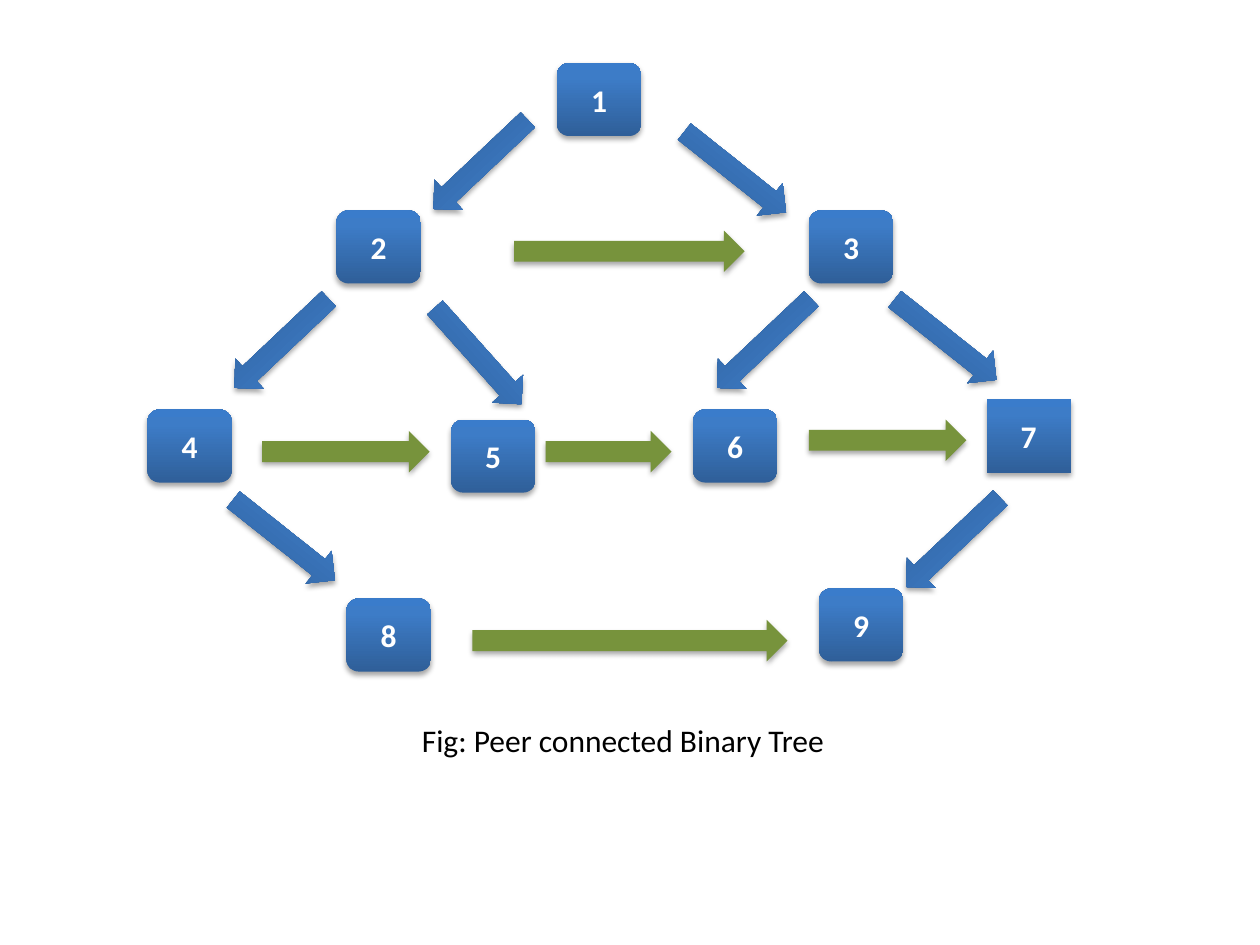
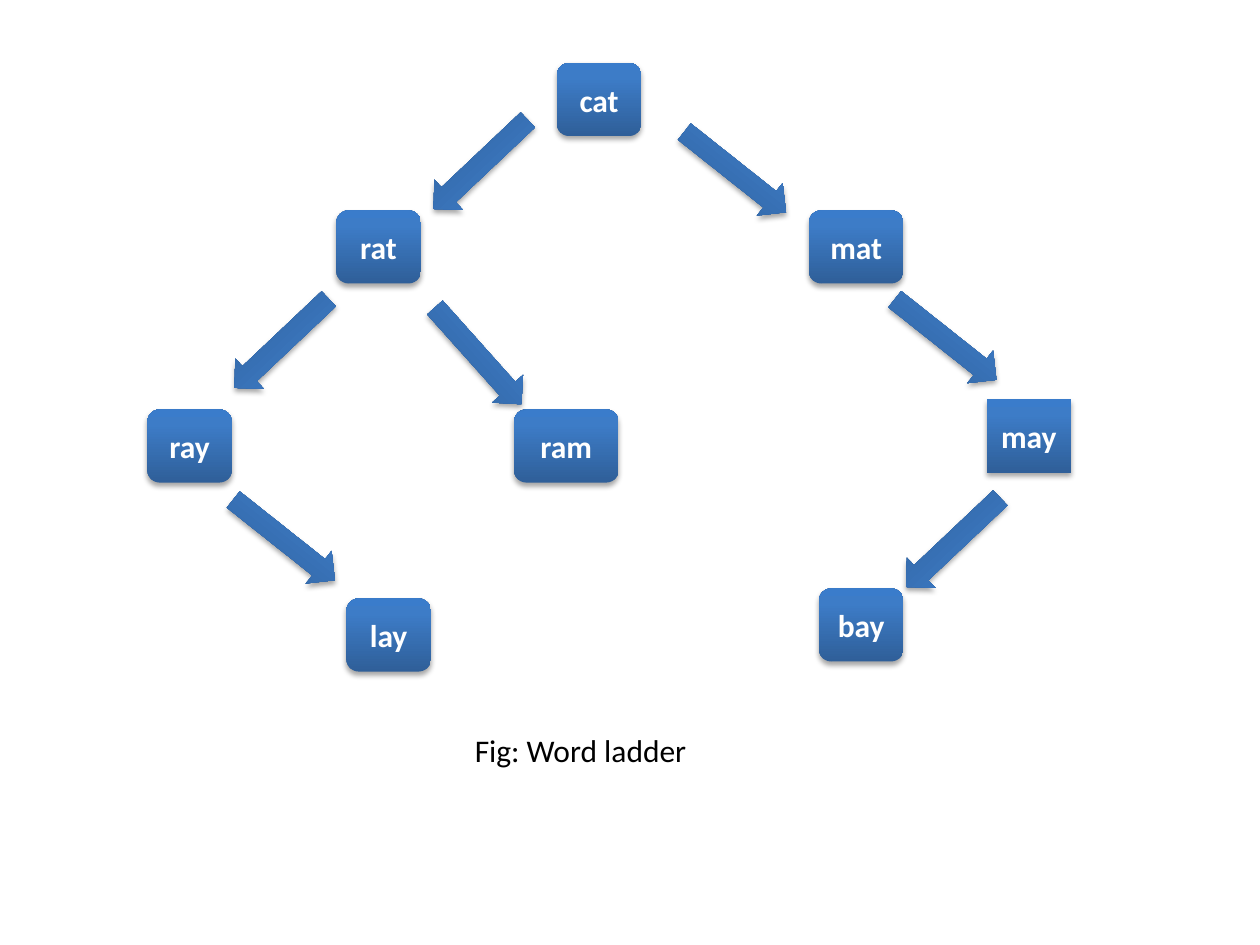
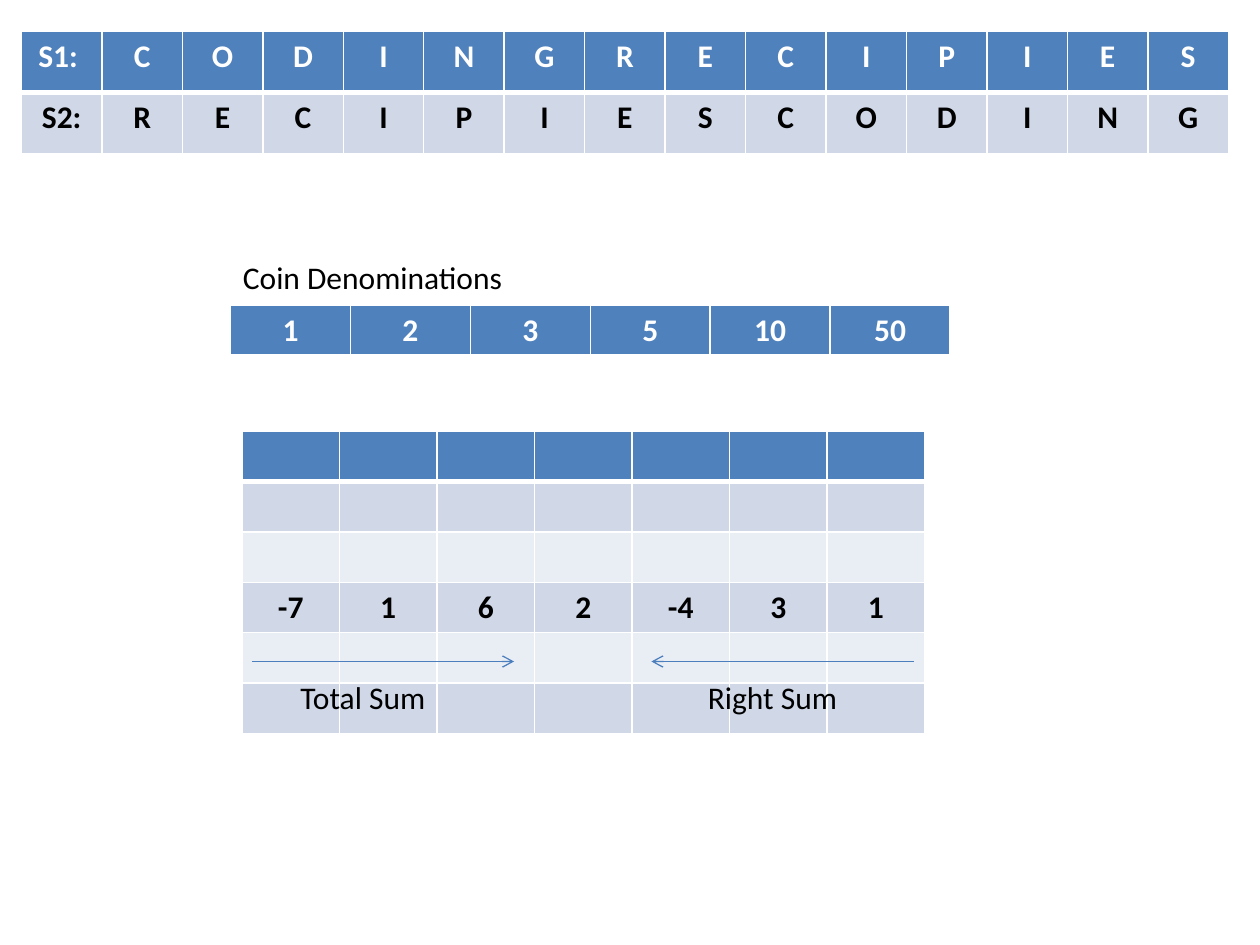
from lxml import etree
from pptx import Presentation
from pptx.dml.color import RGBColor
from pptx.enum.shapes import MSO_CONNECTOR, MSO_SHAPE
from pptx.enum.text import MSO_ANCHOR, MSO_AUTO_SIZE, PP_ALIGN
from pptx.oxml.ns import qn
from pptx.util import Inches, Pt

STRAIGHT = MSO_CONNECTOR.STRAIGHT
ROUNDED = MSO_SHAPE.ROUNDED_RECTANGLE
RIGHT_ARROW = MSO_SHAPE.RIGHT_ARROW
MIDDLE = MSO_ANCHOR.MIDDLE
GROW = MSO_AUTO_SIZE.SHAPE_TO_FIT_TEXT
LEFT, CENTER = PP_ALIGN.LEFT, PP_ALIGN.CENTER

COLORS = {
    "white": "FFFFFF",
    "black": "000000",
    "green": "77933C",
    "header": "4F81BD",
    "band_dark": "D0D8E8",
    "band_light": "E9EDF4",
    "line": "4B7EBC",
}
BLUE_STOPS = [(0, "2F5F99"), (80, "3D7CC7"), (100, "3A7CCB")]
FONT = "Calibri"
FONT_SIZE = 18
NODE_WIDTH, NODE_HEIGHT = 0.67, 0.58
ARROW_LENGTH, ARROW_HEIGHT = 1.03, 0.33
DOWN_LEFT, DOWN_RIGHT, STEEP_RIGHT = 136.6, 38.4, 48.2

# Left, top and rotation of the branches that both trees have
BRANCHES = [
    (3.3, 1.14, DOWN_LEFT),
    (5.32, 1.2, DOWN_RIGHT),
    (1.72, 2.56, DOWN_LEFT),
    (3.28, 2.66, STEEP_RIGHT),
    (6.99, 2.53, DOWN_RIGHT),
    (1.74, 4.12, DOWN_RIGHT),
    (7.05, 4.14, DOWN_LEFT),
]
BRANCH_3_TO_6 = (5.55, 2.56, DOWN_LEFT)

# Left, top and length of the arrows between neighbours
PEER_LINKS = [
    (4.08, 1.83, 1.83),
    (2.08, 3.42, 1.33),
    (6.42, 3.33, 1.25),
    (3.75, 4.92, 2.5),
    (4.33, 3.42, 1),
]

# Label, left, top and width
NUMBER_NODES = [
    ("1", 4.42, 0.5, NODE_WIDTH),
    ("2", 2.67, 1.67, NODE_WIDTH),
    ("3", 6.42, 1.67, NODE_WIDTH),
    ("4", 1.17, 3.25, NODE_WIDTH),
    ("5", 3.58, 3.33, NODE_WIDTH),
    ("6", 5.5, 3.25, NODE_WIDTH),
    ("8", 2.75, 4.75, NODE_WIDTH),
    ("9", 6.5, 4.67, NODE_WIDTH),
]
WORD_NODES = [
    ("cat", 4.42, 0.5, NODE_WIDTH),
    ("rat", 2.67, 1.67, NODE_WIDTH),
    ("mat", 6.42, 1.67, 0.75),
    ("ray", 1.17, 3.25, NODE_WIDTH),
    ("ram", 4.08, 3.25, 0.83),
    ("lay", 2.75, 4.75, NODE_WIDTH),
    ("bay", 6.5, 4.67, NODE_WIDTH),
]


def rgb(name):
    return RGBColor.from_string(COLORS[name])


def add_text(frame, text, color, bold=False, align=LEFT):
    para = frame.paragraphs[0]
    para.alignment = align
    span = para.add_run()
    span.text = text
    span.font.name = FONT
    span.font.size = Pt(FONT_SIZE)
    span.font.bold = bold
    span.font.color.rgb = rgb(color)


def add_color(parent, value):
    return etree.SubElement(parent, qn("a:srgbClr"), val=value)


def fill_blue_gradient(shape):
    """Fill with the three blue stops, running from bottom to top."""
    shape.fill.gradient()
    gradient = shape.element.spPr.find(qn("a:gradFill"))
    stops = gradient.find(qn("a:gsLst"))
    for stop in list(stops):
        stops.remove(stop)
    for position, value in BLUE_STOPS:
        stop = etree.SubElement(stops, qn("a:gs"), pos=str(position * 1000))
        add_color(stop, value)
    direction = gradient.find(qn("a:lin"))
    direction.set("ang", "16200000")
    direction.set("scaled", "0")


def add_soft_shadow(shape):
    shape.shadow.inherit = False
    effects = shape.element.spPr.find(qn("a:effectLst"))
    shadow = etree.SubElement(
        effects, qn("a:outerShdw"), blurRad=str(Pt(3.1)), dist=str(Pt(1.8)),
        dir="5400000", rotWithShape="0")
    etree.SubElement(add_color(shadow, COLORS["black"]), qn("a:alpha"), val="35000")


def add_raised_shape(page, preset, left, top, width, height):
    shape = page.shapes.add_shape(
        preset, Inches(left), Inches(top), Inches(width), Inches(height))
    shape.line.fill.background()
    add_soft_shadow(shape)
    return shape


def add_node(page, label, left, top, width=NODE_WIDTH):
    node = add_raised_shape(page, ROUNDED, left, top, width, NODE_HEIGHT)
    fill_blue_gradient(node)
    node.text_frame.vertical_anchor = MIDDLE
    add_text(node.text_frame, label, "white", bold=True, align=CENTER)
    return node


def add_branch(page, left, top, rotation):
    branch = add_raised_shape(page, RIGHT_ARROW, left, top, ARROW_LENGTH, ARROW_HEIGHT)
    branch.rotation = rotation
    fill_blue_gradient(branch)


def add_peer_link(page, left, top, length):
    link = add_raised_shape(page, RIGHT_ARROW, left, top, length, ARROW_HEIGHT)
    link.fill.solid()
    link.fill.fore_color.rgb = rgb("green")


def add_label(page, text, left, top, width, align=LEFT):
    box = page.shapes.add_textbox(Inches(left), Inches(top), Inches(width), Inches(0.4))
    box.text_frame.word_wrap = True
    box.text_frame.auto_size = GROW
    add_text(box.text_frame, text, "black", align=align)


def add_tree(page, nodes, square_label, branches):
    """Draw the nodes and branches; the node at the far right has square corners."""
    for node in nodes:
        add_node(page, *node)
    add_node(page, square_label, 7.83, 3.17).adjustments[0] = 0
    for branch in branches:
        add_branch(page, *branch)


def set_borders(cell, top, bottom):
    """Give a cell white borders; top and bottom are widths in points."""
    properties = cell._tc.get_or_add_tcPr()
    for tag, width in (("lnL", 1), ("lnR", 1), ("lnT", top), ("lnB", bottom)):
        border = etree.SubElement(properties, qn("a:" + tag), w=str(Pt(width)))
        add_color(etree.SubElement(border, qn("a:solidFill")), COLORS["white"])


def add_grid(page, rows, left, top, width, height):
    """Add a table with a header row above alternating bands."""
    table = page.shapes.add_table(
        len(rows), len(rows[0]), Inches(left), Inches(top),
        Inches(width), Inches(height)).table
    table.first_row = False
    table.horz_banding = False
    for column in table.columns:
        column.width = int(Inches(width) / len(rows[0]))
    for row_index, texts in enumerate(rows):
        table.rows[row_index].height = int(Inches(height) / len(rows))
        is_header = row_index == 0
        band = "band_dark" if row_index % 2 else "band_light"
        for column_index, text in enumerate(texts):
            cell = table.cell(row_index, column_index)
            set_borders(cell, top=3 if row_index == 1 else 1, bottom=3 if is_header else 1)
            cell.fill.solid()
            cell.fill.fore_color.rgb = rgb("header" if is_header else band)
            if text:
                add_text(cell.text_frame, text, "white" if is_header else "black",
                         bold=True, align=CENTER)


def add_sum_arrow(page, start, end, y):
    arrow = page.shapes.add_connector(
        STRAIGHT, Inches(start), Inches(y), Inches(end), Inches(y))
    arrow.line.color.rgb = rgb("line")
    arrow.line.width = Pt(0.75)
    etree.SubElement(arrow.line._get_or_add_ln(), qn("a:tailEnd"), type="arrow")
    etree.SubElement(arrow._element.spPr, qn("a:effectLst"))


def build_peer_tree(page):
    add_tree(page, NUMBER_NODES, "7", BRANCHES + [BRANCH_3_TO_6])
    add_label(page, "Fig: Peer connected Binary Tree", 3.25, 5.67, 3.83)
    for link in PEER_LINKS:
        add_peer_link(page, *link)


def build_word_ladder(page):
    add_tree(page, WORD_NODES, "may", BRANCHES)
    add_label(page, "Fig: Word ladder", 3.67, 5.75, 2)


def build_tables(page):
    blank_row = [""] * 7
    numbers = ["-7", "1", "6", "2", "-4", "3", "1"]
    sums = [blank_row] * 3 + [numbers] + [blank_row] * 2
    add_grid(page, sums, 1.92, 3.42, 5.42, 2.4)
    add_sum_arrow(page, 2, 4.08, 5.25)
    add_sum_arrow(page, 7.25, 5.17, 5.25)
    add_label(page, "Total Sum", 2.17, 5.33, 1.42, CENTER)
    add_label(page, "Right Sum", 5.42, 5.33, 1.42, CENTER)

    add_grid(page, [["1", "2", "3", "5", "10", "50"]], 1.83, 2.42, 5.71, 0.41)
    strings = [["S1: ", *"CODINGRECIPIES"], ["S2:", *"RECIPIESCODING"]]
    add_grid(page, strings, 0.17, 0.25, 9.58, 0.97)
    add_label(page, "Coin Denominations", 1.83, 2, 2.83)


def main():
    deck = Presentation()
    deck.slide_width = Inches(10)
    deck.slide_height = Inches(7.5)
    blank = deck.slide_layouts[6]
    for build in (build_peer_tree, build_word_ladder, build_tables):
        build(deck.slides.add_slide(blank))
    deck.save("out.pptx")


if __name__ == "__main__":
    main()
